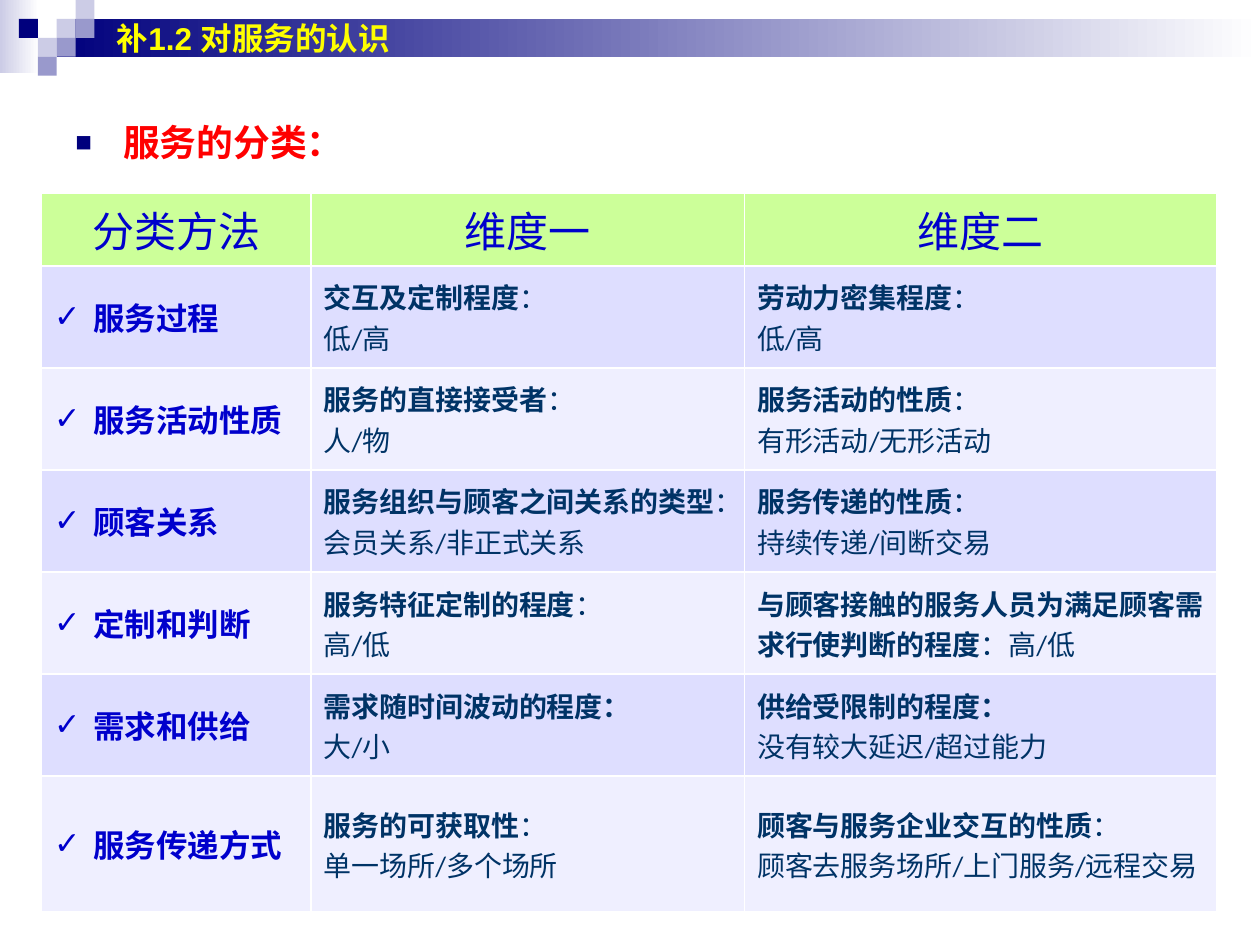
"""Build a slide that classifies services in a three-column table."""
from lxml import etree
from pptx import Presentation
from pptx.dml.color import RGBColor
from pptx.enum.shapes import MSO_SHAPE
from pptx.enum.text import MSO_ANCHOR, PP_ALIGN
from pptx.oxml.ns import qn
from pptx.util import Inches, Pt

RECT, MIDDLE = MSO_SHAPE.RECTANGLE, MSO_ANCHOR.MIDDLE
LEFT, CENTER = PP_ALIGN.LEFT, PP_ALIGN.CENTER

TITLE = "补1.2 对服务的认识"
TOPIC = "服务的分类："
HEADS = ["分类方法", "维度一", "维度二"]
ROWS = [
    ("服务过程", ("交互及定制程度", "：", "低/高"),
     ("劳动力密集程度", "：", "低/高")),
    ("服务活动性质", ("服务的直接接受者", "：", "人/物"),
     ("服务活动的性质", "：", "有形活动/无形活动")),
    ("顾客关系", ("服务组织与顾客之间关系的类型", "：", "会员关系/非正式关系"),
     ("服务传递的性质", "：", "持续传递/间断交易")),
    ("定制和判断", ("服务特征定制的程度", "：", "高/低"),
     ("与顾客接触的服务人员为满足顾客需求行使判断的程度", "：高/低", "")),
    ("需求和供给", ("需求随时间波动的程度：", "", "大/小"),
     ("供给受限制的程度：", "", "没有较大延迟/超过能力")),
    ("服务传递方式", ("服务的可获取性", "：", "单一场所/多个场所"),
     ("顾客与服务企业交互的性质", "：", "顾客去服务场所/上门服务/远程交易")),
]
THEME = {
    "navy": "00007D", "mid": "9999CC", "pale": "CCCCE6", "white": "FFFFFF",
    "title": "FFFF00", "topic": "FF0000", "label": "0000CC", "body": "003366",
    "head": "CCFF99", "bands": ("DEDEFF", "EFEFFF"),
    "font": "Arial", "grid": "Calibri",
    "size": {"title": 18, "topic": 21, "head": 24, "label": 18, "body": 16},
}
UNIT = 0.15
TILES = [(3, 1, "pale"), (4, 0, "pale"), (4, 1, "mid"), (2, 2, "pale"),
         (1, 1, "navy"), (3, 2, "mid"), (2, 3, "mid")]
COLS = [2.14, 3.44, 3.75]
HIGHS = [0.58] + [0.81] * (len(ROWS) - 1) + [1.08]


def rgb(code):
    return RGBColor.from_string(code)


def block(slide, box, *tones):
    rect = slide.shapes.add_shape(RECT, *map(Inches, box))
    rect.shadow.inherit = False
    rect.line.fill.background()
    if len(tones) == 1:
        rect.fill.solid()
        rect.fill.fore_color.rgb = rgb(THEME[tones[0]])
        return
    rect.fill.gradient()
    rect.fill.gradient_angle = 0
    for i, (stop, tone) in enumerate(zip(rect.fill.gradient_stops, tones)):
        stop.position = i
        stop.color.rgb = rgb(THEME[tone])


def write(para, text, role, bold, face):
    if text:
        run = para.add_run()
        run.text = text
        run.font.size = Pt(THEME["size"][role])
        run.font.name, run.font.bold = face, bold
        run.font.color.rgb = rgb(THEME["label" if role == "head" else role])


def bullet(para, mark, inset, tone, share=100):
    props = para._p.get_or_add_pPr()
    props.set("marL", str(Inches(inset)))
    props.set("indent", str(-Inches(inset)))
    color = etree.SubElement(props, qn("a:buClr"))
    etree.SubElement(color, qn("a:srgbClr"), val=THEME[tone])
    etree.SubElement(props, qn("a:buSzPct"), val=str(share * 1000))
    etree.SubElement(props, qn("a:buFont"), typeface=THEME["font"])
    etree.SubElement(props, qn("a:buChar"), char=mark)


def label(slide, box, wrap):
    frame = slide.shapes.add_textbox(*map(Inches, box)).text_frame
    frame.word_wrap = wrap
    return frame.paragraphs[0]


def style(cell, tone):
    cell.vertical_anchor = MIDDLE
    cell.fill.solid()
    cell.fill.fore_color.rgb = rgb(tone)
    props = cell._tc.get_or_add_tcPr()
    for i, side in enumerate("LRTB"):
        line = etree.Element(qn("a:ln" + side), w=str(Pt(1)))
        fill = etree.SubElement(line, qn("a:solidFill"))
        etree.SubElement(fill, qn("a:srgbClr"), val=THEME["white"])
        props.insert(i, line)


def grid(slide):
    box = map(Inches, (0.33, 1.53, sum(COLS), sum(HIGHS)))
    table = slide.shapes.add_table(len(HIGHS), len(COLS), *box).table
    face = THEME["grid"]
    for col, wide in zip(table.columns, COLS):
        col.width = Inches(wide)
    for row, high in zip(table.rows, HIGHS):
        row.height = Inches(high)
    for c, text in enumerate(HEADS):
        cell = table.cell(0, c)
        style(cell, THEME["head"])
        para = cell.text_frame.paragraphs[0]
        para.alignment = CENTER
        write(para, text, "head", False, face)
    for r, (name, *dims) in enumerate(ROWS, 1):
        cells = [table.cell(r, c) for c in range(len(COLS))]
        for cell in cells:
            style(cell, THEME["bands"][(r - 1) % 2])
        para = cells[0].text_frame.paragraphs[0]
        bullet(para, "✓", 0.31, "label")
        write(para, name, "label", True, face)
        for cell, (strong, tail, below) in zip(cells[1:], dims):
            frame = cell.text_frame
            para = frame.paragraphs[0]
            para.alignment = LEFT
            write(para, strong, "body", True, face)
            write(para, tail, "body", False, face)
            if below:
                write(frame.add_paragraph(), below, "body", False, face)


def main():
    deck = Presentation()
    deck.slide_width, deck.slide_height = Inches(10), Inches(7.5)
    slide = deck.slides.add_slide(deck.slide_layouts[6])
    block(slide, (0, 0, 0.31, 0.58), "pale", "white")
    block(slide, (3 * UNIT, UNIT, 10 - 3 * UNIT, 2 * UNIT), "navy", "white")
    for col, row, tone in TILES:
        block(slide, (col * UNIT, row * UNIT, UNIT, UNIT), tone)
    para = label(slide, (0.5, 0.83, 9, 0.58), True)
    para.line_spacing = 1.2
    para.space_before = Pt(4)
    bullet(para, "■", 0.38, "navy", 75)
    write(para, TOPIC, "topic", True, THEME["font"])
    grid(slide)
    para = label(slide, (0.83, 0.1, 2.5, 0.4), False)
    write(para, TITLE, "title", True, THEME["font"])
    deck.save("out.pptx")


if __name__ == "__main__":
    main()
